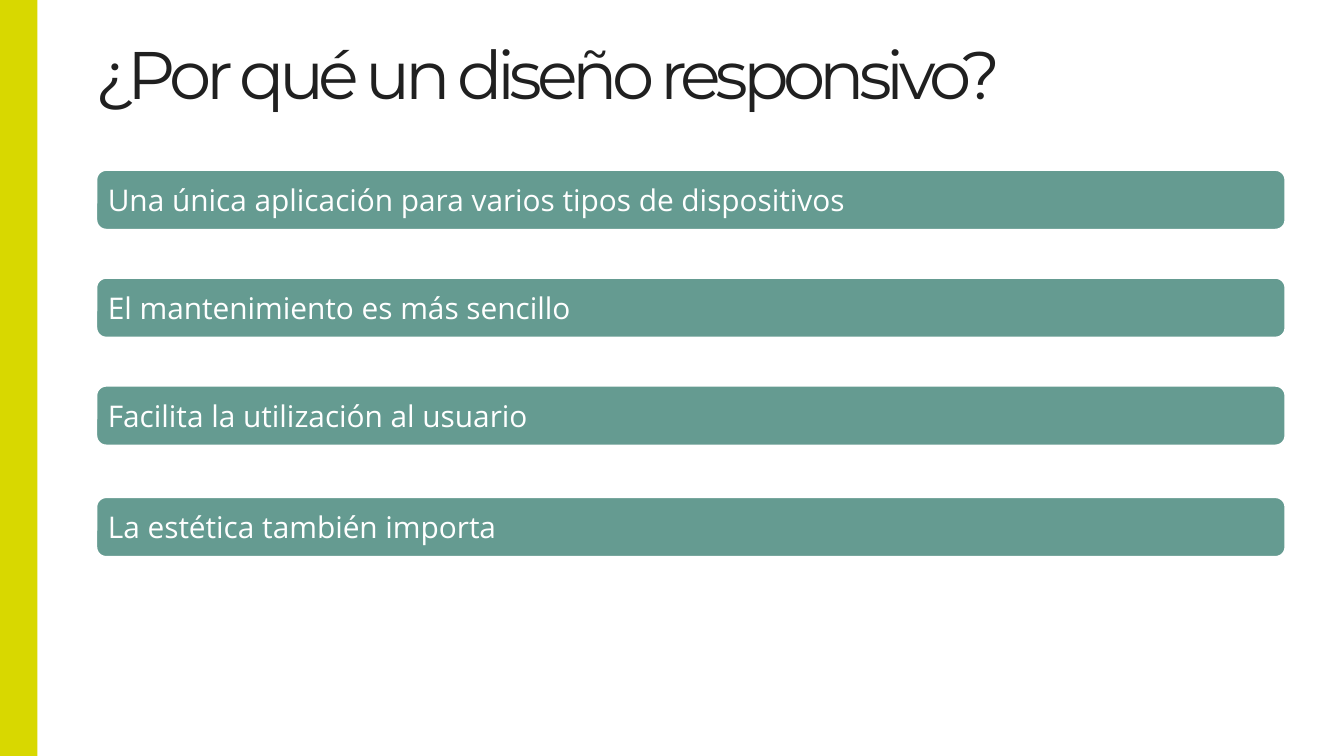
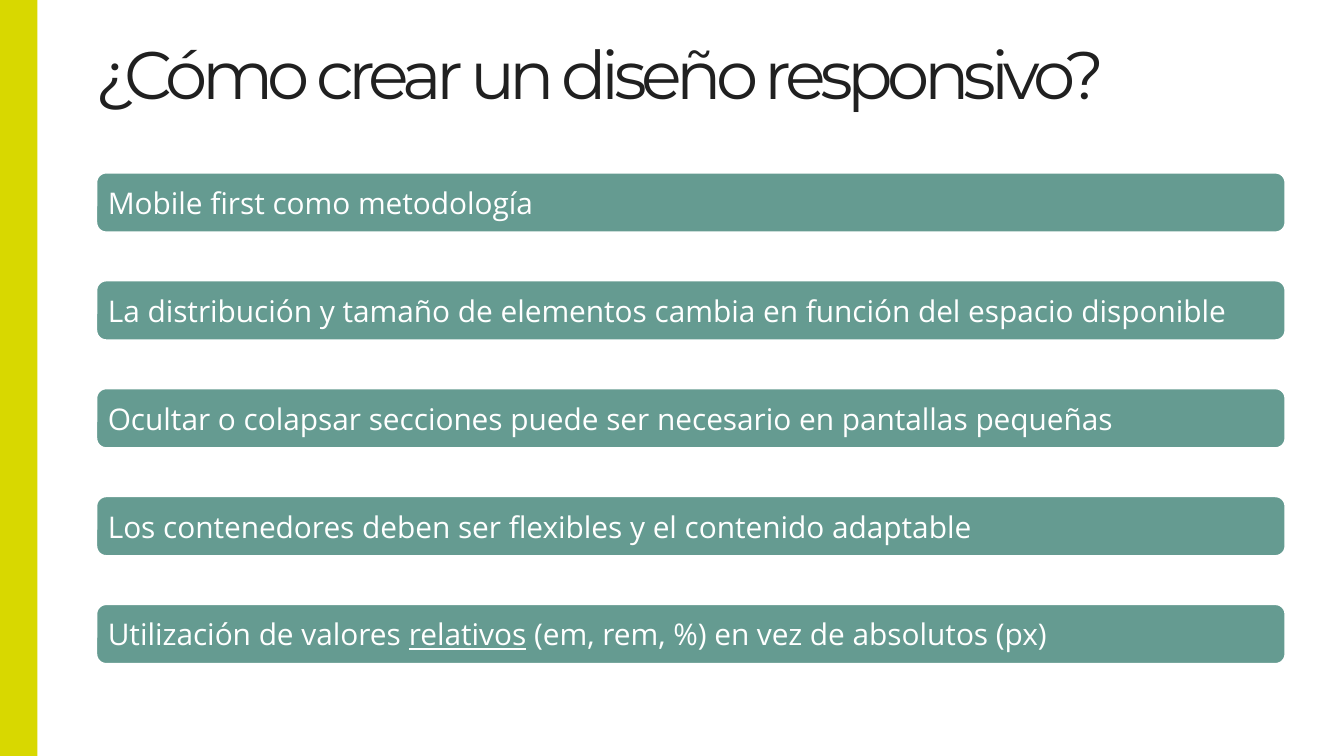
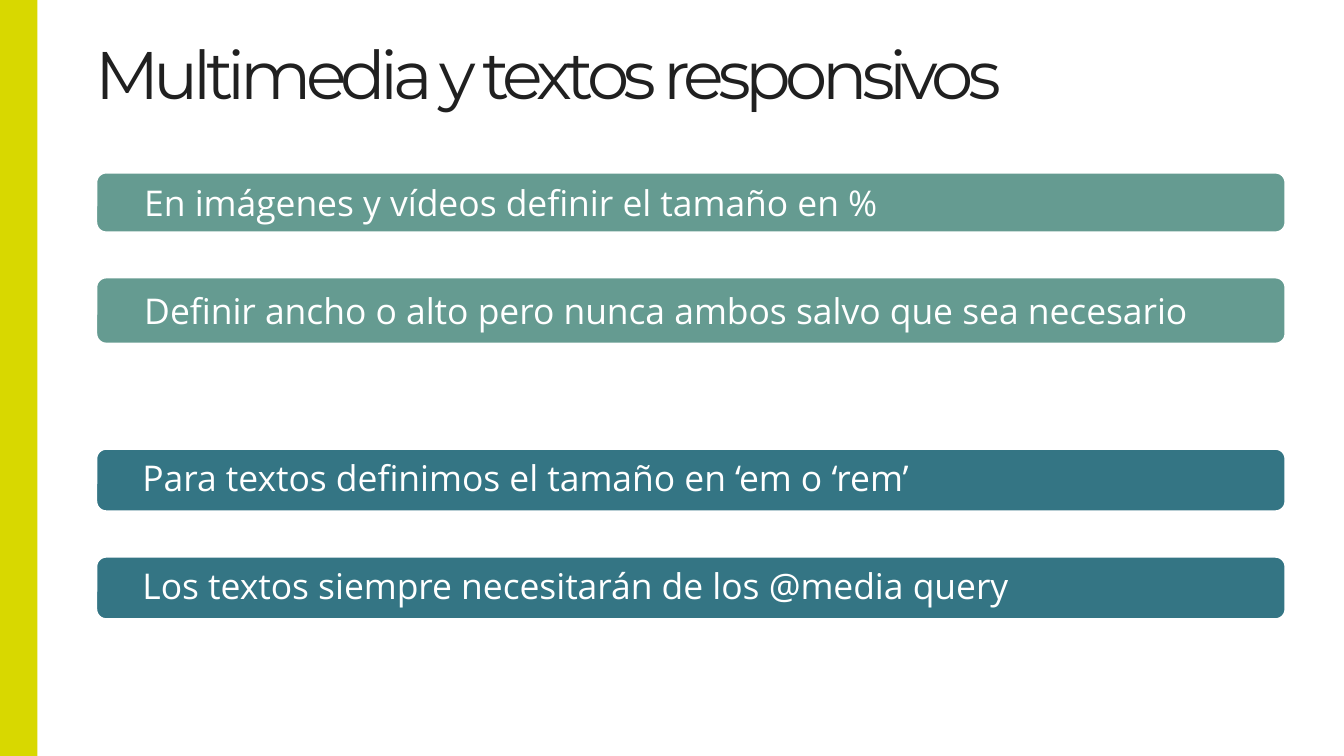
from dataclasses import dataclass

from pptx import Presentation
from pptx.dml.color import RGBColor
from pptx.enum.shapes import MSO_SHAPE
from pptx.enum.text import MSO_ANCHOR, PP_ALIGN
from pptx.shapes.autoshape import Shape
from pptx.slide import Slide
from pptx.util import Pt

HUES = {
    "ink": "202020",
    "lime": "D8D800",
    "sage": "659B91",
    "teal": "347584",
    "white": "FFFFFF",
}
WIDE, HIGH = 720, 405
LEFT = 51.1
STEP = 57.8
ROUND = 5.8


@dataclass
class Group:
    top: float
    labels: list[str]
    high: float = 33
    fill: str = "sage"
    size: int = 16
    inset: float = 5
    line: float = 1


@dataclass
class Page:
    title: str
    groups: list[Group]


PAGES = [
    Page("¿Por qué un diseño responsivo?", [
        Group(90.6, [
            "Una única aplicación para varios tipos de dispositivos",
            "El mantenimiento es más sencillo",
            "Facilita la utilización al usuario",
        ]),
        Group(265.9, ["La estética también importa"]),
    ]),
    Page("¿Cómo crear un diseño responsivo?", [
        Group(92, [
            "Mobile first como metodología",
            "La distribución y tamaño de elementos cambia en función del espacio disponible",
            "Ocultar o colapsar secciones puede ser necesario en pantallas pequeñas",
            "Los contenedores deben ser flexibles y el contenido adaptable",
            "Utilización de valores _relativos_ (em, rem, %) en vez de absolutos (px)",
        ]),
    ]),
    Page("Multimedia y textos responsivos", [
        Group(92, ["En imágenes y vídeos definir el tamaño en %"],
              size=19, inset=24.5),
        Group(148.2, ["Definir ancho o alto pero nunca ambos salvo que sea necesario"],
              high=36.4, size=19, inset=24.5),
        Group(240, [
            "Para textos definimos el tamaño en ‘em o ‘rem’",
            "Los textos siempre necesitarán de los @media query",
        ], high=34.4, fill="teal", size=19, inset=23.5, line=0.9),
    ]),
]


def tint(name: str) -> RGBColor:
    return RGBColor.from_string(HUES[name])


def write(shape: Shape, text: str, *, size: float, font: str = "Open Sans",
          hue: str = "white", anchor: MSO_ANCHOR = MSO_ANCHOR.MIDDLE,
          left: float = 0, right: float = 0, pad: float = 0,
          line: float = 1, track: float = 0) -> None:
    frame = shape.text_frame
    frame.word_wrap = True
    frame.vertical_anchor = anchor
    frame.margin_left, frame.margin_right = Pt(left), Pt(right)
    frame.margin_top = frame.margin_bottom = Pt(pad)
    para = frame.paragraphs[0]
    para.alignment = PP_ALIGN.LEFT
    para.line_spacing = line
    for spot, part in enumerate(text.split("_")):
        run = para.add_run()
        run.text = part
        run.font.name = font
        run.font.size = Pt(size)
        run.font.color.rgb = tint(hue)
        if spot % 2:
            run.font.underline = True
        if track:
            run._r.get_or_add_rPr().set("spc", str(round(track * 100)))


def block(slide: Slide, kind: MSO_SHAPE, left: float, top: float,
          wide: float, high: float, fill: str) -> Shape:
    shape = slide.shapes.add_shape(kind, Pt(left), Pt(top), Pt(wide), Pt(high))
    shape.shadow.inherit = False
    shape.fill.solid()
    shape.fill.fore_color.rgb = tint(fill)
    shape.line.fill.background()
    return shape


def frame(slide: Slide, title: str) -> None:
    box = slide.shapes.add_textbox(Pt(LEFT), Pt(0), Pt(649.4), Pt(64))
    write(box, title, size=36, font="Montserrat", hue="ink",
          anchor=MSO_ANCHOR.BOTTOM, right=7.2, pad=3.6, track=-3)
    block(slide, MSO_SHAPE.RECTANGLE, 0, 0, 20, HIGH, "lime")


def stack(slide: Slide, group: Group) -> None:
    for row, label in enumerate(group.labels):
        bar = block(slide, MSO_SHAPE.ROUNDED_RECTANGLE, LEFT,
                    group.top + row * STEP, 638, group.high, group.fill)
        bar.adjustments[0] = ROUND / group.high
        bar.line.color.rgb = tint("white")
        bar.line.width = Pt(2)
        write(bar, label, size=group.size, left=group.inset, right=3.6,
              line=group.line)


def main() -> None:
    deck = Presentation()
    deck.slide_width, deck.slide_height = Pt(WIDE), Pt(HIGH)
    for page in PAGES:
        slide = deck.slides.add_slide(deck.slide_layouts[6])
        frame(slide, page.title)
        for group in page.groups:
            stack(slide, group)
    deck.save("out.pptx")


if __name__ == "__main__":
    main()
